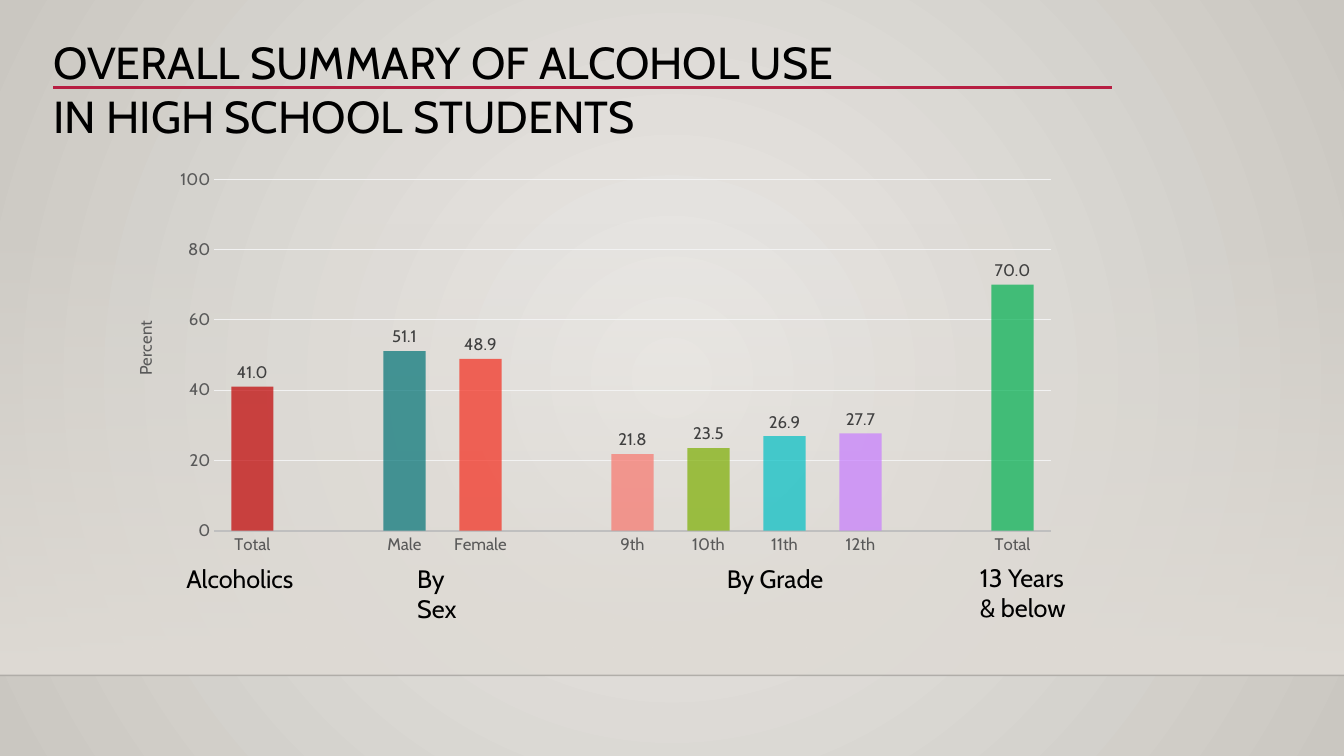
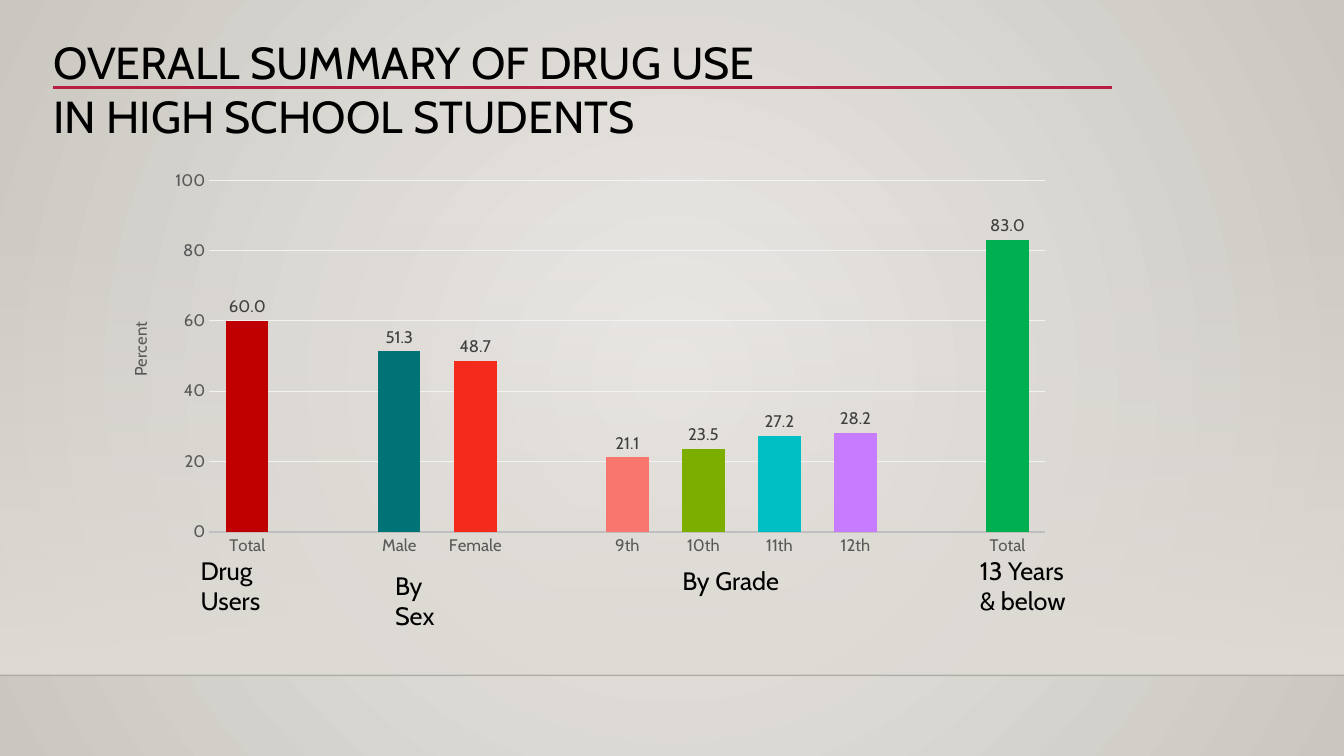
from lxml.etree import SubElement
from pptx import Presentation
from pptx.chart.data import CategoryChartData
from pptx.dml.color import RGBColor
from pptx.enum.chart import XL_CHART_TYPE as ChartType, XL_LABEL_POSITION as LabelPosition
from pptx.enum.chart import XL_TICK_MARK as TickMark
from pptx.enum.shapes import MSO_CONNECTOR as Connector, MSO_SHAPE as Shape
from pptx.enum.text import MSO_ANCHOR as Anchor
from pptx.oxml import parse_xml
from pptx.oxml.ns import nsdecls, qn
from pptx.util import Emu, Pt

PX = 9144  # 100 px to the inch
SLIDE_W, SLIDE_H = 1333, 750
FLOOR_Y = 670
FONT = "Cabin"

BLACK = RGBColor(0x00, 0x00, 0x00)
CRIMSON = RGBColor(0xB7, 0x1E, 0x42)
GLOW = RGBColor(0xEC, 0xEA, 0xE7)
EDGE = RGBColor(0xCA, 0xC7, 0xC1)
WALL = RGBColor(0xDF, 0xDB, 0xD5)
AXIS_TEXT = RGBColor(0x59, 0x59, 0x59)
AXIS_LINE = RGBColor(0xBF, 0xBF, 0xBF)
GRID = RGBColor(0xF2, 0xF2, 0xF2)
VALUE_TEXT = RGBColor(0x40, 0x40, 0x40)
BAR_COLORS = {
    0: RGBColor(0xC0, 0x00, 0x00),
    2: RGBColor(0x00, 0x73, 0x76),
    3: RGBColor(0xF4, 0x2B, 0x1C),
    5: RGBColor(0xF8, 0x76, 0x6D),
    6: RGBColor(0x7C, 0xAE, 0x00),
    7: RGBColor(0x00, 0xBF, 0xC4),
    8: RGBColor(0xC7, 0x7C, 0xFF),
    10: RGBColor(0x00, 0xB0, 0x50),
}
CATEGORIES = ["Total", "", "Male", "Female", "",
              "9th", "10th", "11th", "12th", "", "Total"]


def px(*lengths):
    return [Emu(length * PX) for length in lengths]


def set_opacity(element, percent):
    """Give every RGB colour inside element the same opacity."""
    for color in element.iter(qn("a:srgbClr")):
        SubElement(color, qn("a:alpha")).set("val", str(percent * 1000))


def style_font(font, size, color):
    font.name = FONT
    font.size = Pt(size)
    font.color.rgb = color


def set_gradient(fill, first, last):
    fill.gradient()
    for stop, color in zip(fill.gradient_stops, (first, last)):
        stop.color.rgb = color


def add_rule(slide, left, right, y, color, width, opacity=100):
    rule = slide.shapes.add_connector(Connector.STRAIGHT, *px(left, y, right, y))
    rule.line.color.rgb = color
    rule.line.width = Pt(width)
    set_opacity(rule.element, opacity)
    SubElement(rule.element.spPr, qn("a:effectLst"))


def add_text(slide, box, lines, size, anchor=Anchor.TOP):
    frame = slide.shapes.add_textbox(*px(*box)).text_frame
    frame.word_wrap = True
    frame.vertical_anchor = anchor
    paragraph = frame.paragraphs[0]
    for number, line in enumerate(lines):
        if number:
            paragraph.add_line_break()
        run = paragraph.add_run()
        run.text = line
        style_font(run.font, size, BLACK)


def add_backdrop(slide):
    """Draw the radial background, the fading wall and the floor line."""
    set_gradient(slide.background.fill, GLOW, EDGE)
    gradient = slide.element.find(".//" + qn("a:gradFill"))
    gradient.replace(gradient.find(qn("a:lin")), parse_xml(
        f'<a:path {nsdecls("a")} path="circle">'
        '<a:fillToRect l="50000" t="50000" r="50000" b="50000"/></a:path>'))

    wall = slide.shapes.add_shape(Shape.RECTANGLE, *px(0, 221, SLIDE_W, FLOOR_Y - 221))
    wall.shadow.inherit = False
    wall.line.fill.background()
    set_gradient(wall.fill, WALL, WALL)
    wall.fill.gradient_angle = 270
    set_opacity(wall.element.find(".//" + qn("a:gs")), 0)

    add_rule(slide, 0, SLIDE_W, FLOOR_Y, BLACK, 1, opacity=20)


def add_title(slide, lines):
    add_rule(slide, 53, 1103, 87, CRIMSON, 2.5)
    add_text(slide, (43, 30, 1303, 116), lines, 32, Anchor.MIDDLE)


def set_layout(element, index, **fractions):
    """Fix a chart part's place; fractions are of the chart's size."""
    for layout in element.findall(qn("c:layout")):
        element.remove(layout)
    layout = parse_xml(f'<c:layout {nsdecls("c")}><c:manualLayout/></c:layout>')
    settings = {"xMode": "edge", "yMode": "edge", **fractions}
    if "w" in fractions:
        settings = {"layoutTarget": "inner", **settings}
    for name, value in settings.items():
        SubElement(layout[0], qn("c:" + name)).set("val", str(value))
    element.insert(index, layout)


def style_axes(chart):
    categories, percents = chart.category_axis, chart.value_axis
    for axis in (categories, percents):
        axis.major_tick_mark = axis.minor_tick_mark = TickMark.NONE
        style_font(axis.tick_labels.font, 12, AXIS_TEXT)
    categories.format.line.color.rgb = AXIS_LINE
    categories.format.line.width = Pt(1.25)

    percents.minimum_scale, percents.maximum_scale = 0, 100
    percents.major_unit = 20
    percents.format.line.fill.background()
    percents.major_gridlines.format.line.color.rgb = GRID
    percents.major_gridlines.format.line.width = Pt(0.75)

    title = percents.axis_title
    run = title.text_frame.paragraphs[0].add_run()
    run.text = "Percent"
    style_font(run.font, 12, AXIS_TEXT)
    run.font.bold = False
    body = title._element.find(".//" + qn("a:bodyPr"))
    body.set("rot", "-5400000")
    body.set("vert", "horz")
    set_layout(title._element, 1, x=0.02, y=0.39)


def add_usage_chart(slide, left, top, values, opacity):
    data = CategoryChartData()
    data.categories = CATEGORIES
    data.add_series("Series 1", values)
    chart = slide.shapes.add_chart(
        ChartType.COLUMN_CLUSTERED, *px(left, top, 950, 398), data).chart
    chart.has_legend = chart.has_title = False
    style_font(chart.font, 10, BLACK)
    style_axes(chart)

    plot = chart.plots[0]
    plot.gap_width, plot.overlap = 80, 25
    plot.vary_by_categories = False
    bars = plot.series[0]
    for index, color in BAR_COLORS.items():
        fill = bars.points[index].format.fill
        fill.solid()
        fill.fore_color.rgb = color
    set_opacity(bars._element, opacity)

    plot.has_data_labels = True
    labels = plot.data_labels
    labels.show_value = True
    labels.number_format = "#,##0.0"
    labels.number_format_is_linked = False
    labels.position = LabelPosition.OUTSIDE_END
    style_font(labels.font, 12, VALUE_TEXT)

    plot_area = chart._chartSpace.find(".//" + qn("c:plotArea"))
    set_layout(plot_area, 0, x=0.107, y=0.045, w=0.873, h=0.876)


def add_summary_slide(deck, title, chart_at, values, opacity, groups):
    slide = deck.slides.add_slide(deck.slide_layouts[6])
    add_backdrop(slide)
    add_title(slide, title)
    add_usage_chart(slide, *chart_at, values, opacity)
    for text, left, top, width in groups:
        add_text(slide, (left, top, width, 71), [text], 18)


def main():
    deck = Presentation()
    deck.slide_width, deck.slide_height = px(SLIDE_W, SLIDE_H)
    add_summary_slide(
        deck,
        ["OVERALL SUMMARY OF ALCOHOL USE", "IN HIGH SCHOOL STUDENTS"],
        (111, 160),
        [41, None, 51.1, 48.9, None, 21.8, 23.5, 26.9, 27.7, None, 70],
        70,
        [("Alcoholics", 175, 554, 142), ("By Sex", 404, 554, 80),
         ("By Grade", 711, 554, 125), ("13 Years & below", 962, 553, 117)])
    add_summary_slide(
        deck,
        ["OVERALL SUMMARY OF DRUG USE", "IN HIGH SCHOOL STUDENTS"],
        (106, 161),
        [60, None, 51.3, 48.7, None, 21.1, 23.5, 27.2, 28.2, None, 83],
        100,
        [("Drug Users", 189, 546, 89), ("By Sex", 382, 561, 80),
         ("By Grade", 667, 556, 125), ("13 Years & below", 962, 546, 117)])
    deck.save("out.pptx")


if __name__ == "__main__":
    main()
